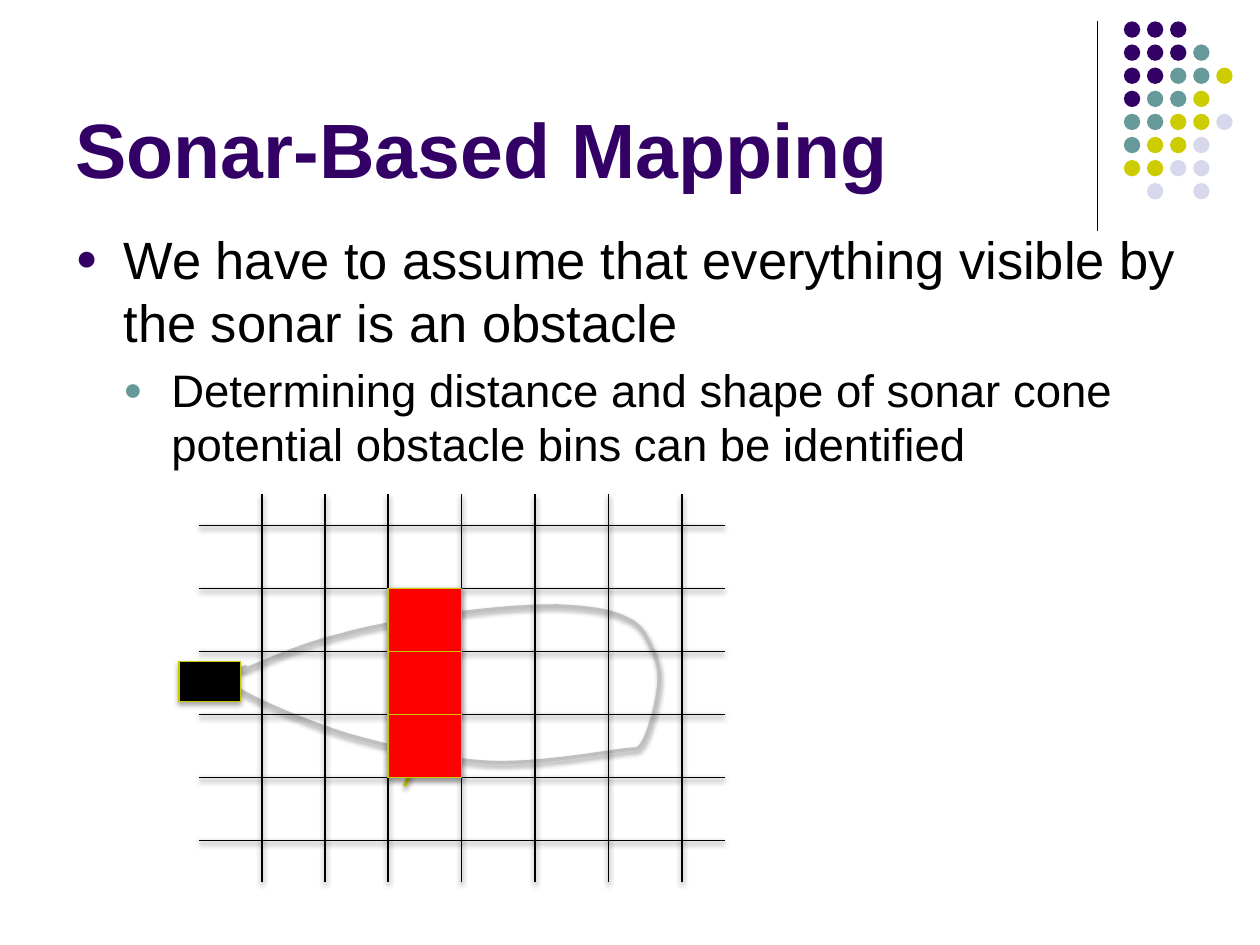
"""Build the slide on sonar-based mapping with its occupancy grid diagram."""
from lxml.etree import SubElement
from pptx import Presentation
from pptx.dml.color import RGBColor
from pptx.enum.shapes import MSO_CONNECTOR, MSO_SHAPE
from pptx.enum.text import MSO_ANCHOR, MSO_AUTO_SIZE, PP_ALIGN
from pptx.oxml import parse_xml
from pptx.oxml.ns import nsdecls, qn
from pptx.util import Inches, Pt

PURPLE = RGBColor(0x33, 0x00, 0x66)
TEAL = RGBColor(0x66, 0x99, 0x99)
YELLOW = RGBColor(0xCC, 0xCC, 0x00)
LAVENDER = RGBColor(0xD8, 0xD8, 0xEC)
OLIVE = RGBColor(0xC8, 0xC8, 0x00)
GRAY = RGBColor(0xBF, 0xBF, 0xBF)
RED = RGBColor(0xFF, 0x00, 0x00)
BLACK = RGBColor(0x00, 0x00, 0x00)


def style(part, line_color, line_width, fill_color=None, shadow=None):
    """Set outline, fill and an optional (distance, opacity) shadow."""
    if line_color is None:
        part.line.fill.background()
    else:
        part.line.color.rgb = line_color
        part.line.width = Pt(line_width)
    if fill_color is not None:
        part.fill.solid()
        part.fill.fore_color.rgb = fill_color
    effects = SubElement(part._element.spPr, qn("a:effectLst"))
    if shadow:
        distance, opacity = shadow
        effects.append(parse_xml(
            f'<a:outerShdw {nsdecls("a")} blurRad="{Pt(3.1)}" dist="{Pt(distance)}" '
            f'dir="5400000" rotWithShape="0"><a:srgbClr val="000000">'
            f'<a:alpha val="{opacity * 1000}"/></a:srgbClr></a:outerShdw>'))


def add_curve(shapes, points, color):
    """Draw an open cubic curve: a start point, then three points per segment."""
    start, *rest = [(Inches(x), Inches(y)) for x, y in points]
    builder = shapes.build_freeform(*start)
    builder.add_line_segments(rest, close=False)
    curve = builder.convert_to_shape()
    outline = next(curve._element.iter(qn("a:path")))
    corners = outline.findall(qn("a:lnTo"))
    for i in range(0, len(corners), 3):
        bezier = SubElement(outline, qn("a:cubicBezTo"))
        for corner in corners[i:i + 3]:
            bezier.append(corner[0])
            outline.remove(corner)
    curve.fill.background()
    style(curve, color, 2, shadow=LINE_SHADOW)


LINE_SHADOW = (1.6, 38)
BOX_SHADOW = (1.8, 35)

prs = Presentation()
prs.slide_width, prs.slide_height = Inches(10), Inches(7.5)
slide = prs.slides.add_slide(prs.slide_layouts[1])
shapes = slide.shapes

title, body = slide.placeholders
title.left, title.top, title.width, title.height = map(Inches, (0.5, 0.17, 8.25, 1.42))
body.left, body.top, body.width, body.height = map(Inches, (0.5, 1.75, 9, 4.95))
for holder in (title, body):
    holder.text_frame.auto_size = MSO_AUTO_SIZE.NONE
title.text_frame.vertical_anchor = MSO_ANCHOR.BOTTOM
heading = title.text_frame.paragraphs[0]
heading.alignment = PP_ALIGN.LEFT
heading_run = heading.add_run()
heading_run.text = "Sonar-Based Mapping"
heading_run.font.name = "Arial"
heading_run.font.size = Pt(44)
heading_run.font.bold = True
heading_run.font.color.rgb = PURPLE

statements = [
    ("We have to assume that everything visible by the sonar is an obstacle", 30, PURPLE),
    ("Determining distance and shape of sonar cone potential obstacle bins "
     "can be identified", 26, TEAL),
]
for level, (wording, size, bullet_color) in enumerate(statements):
    frame = body.text_frame
    statement = frame.add_paragraph() if level else frame.paragraphs[0]
    statement.level = level
    run = statement.add_run()
    run.text = wording
    run.font.name = "Arial"
    run.font.size = Pt(size)
    run.font.color.rgb = BLACK
    statement.space_before = Pt(size * 0.2)
    props = statement._p.get_or_add_pPr()
    props.set("marL", str(Inches(0.38 * (level + 1))))
    props.set("indent", str(Inches(-0.38)))
    SubElement(SubElement(props, qn("a:buClr")), qn("a:srgbClr"), val=str(bullet_color))
    SubElement(props, qn("a:buSzPct"), val="70000")
    SubElement(props, qn("a:buFont"), typeface="Arial")
    SubElement(props, qn("a:buChar"), char="●")

divider = shapes.add_connector(
    MSO_CONNECTOR.STRAIGHT, Inches(8.71), Inches(0.17), Inches(8.71), Inches(1.83))
style(divider, BLACK, 0.75)

dot_colors = {"P": PURPLE, "T": TEAL, "Y": YELLOW, "L": LAVENDER}
dot_rows = ["PPP", "PPPT", "PPTTY", "PTTY", "TTYYL", "TYYL", "YYLL", "-L-L"]
dot_pitch = 1.1 / 6
for row, letters in enumerate(dot_rows):
    for column, letter in enumerate(letters):
        if letter in dot_colors:
            dot = shapes.add_shape(
                MSO_SHAPE.OVAL, Inches(8.92 + column * dot_pitch),
                Inches(0.17 + row * dot_pitch), Inches(0.13), Inches(0.13))
            style(dot, None, 0, dot_colors[letter])

sonar_cone = [
    (1.91, 5.33),
    (2.17, 5.22), (2.42, 5.11), (2.71, 5.04),
    (2.99, 4.96), (3.33, 4.91), (3.62, 4.87),
    (3.91, 4.83), (4.2, 4.81), (4.42, 4.81),
    (4.64, 4.82), (4.83, 4.84), (4.95, 4.9),
    (5.08, 4.95), (5.12, 5.03), (5.16, 5.12),
    (5.21, 5.21), (5.24, 5.3), (5.23, 5.43),
    (5.22, 5.56), (5.16, 5.79), (5.11, 5.88),
    (5.05, 5.97), (5.1, 5.93), (4.9, 5.96),
    (4.69, 5.99), (4.21, 6.07), (3.86, 6.05),
    (3.51, 6.03), (3.11, 5.93), (2.78, 5.84),
    (2.45, 5.74), (2.03, 5.56), (1.89, 5.47),
    (1.76, 5.38), (1.86, 5.33), (1.96, 5.29),
]
distance_arc = [
    (3.23, 4.69),
    (3.37, 4.89), (3.51, 5.1), (3.51, 5.36),
    (3.51, 5.62), (3.36, 5.93), (3.21, 6.24),
]
add_curve(shapes, sonar_cone, GRAY)
add_curve(shapes, distance_arc, YELLOW)

sensor = shapes.add_shape(
    MSO_SHAPE.RECTANGLE, Inches(1.42), Inches(5.25), Inches(0.49), Inches(0.32))
style(sensor, OLIVE, 0.75, BLACK, BOX_SHADOW)

bin_width, bin_height = 7 / 12, 0.5
column_edges = [2.08, 2.58] + [3.08 + i * bin_width for i in range(5)]
row_edges = [4.17 + i * bin_height for i in range(6)]
grid_lines = [(x, 3.92, x, 7) for x in column_edges]
grid_lines += [(1.58, y, 5.75, y) for y in row_edges]
for ends in grid_lines:
    grid_line = shapes.add_connector(MSO_CONNECTOR.STRAIGHT, *map(Inches, ends))
    style(grid_line, BLACK, 1, shadow=LINE_SHADOW)

for top in row_edges[1:4]:
    obstacle_bin = shapes.add_shape(
        MSO_SHAPE.RECTANGLE, Inches(column_edges[2]), Inches(top),
        Inches(bin_width), Inches(bin_height))
    style(obstacle_bin, OLIVE, 0.75, RED, BOX_SHADOW)

prs.save("out.pptx")
